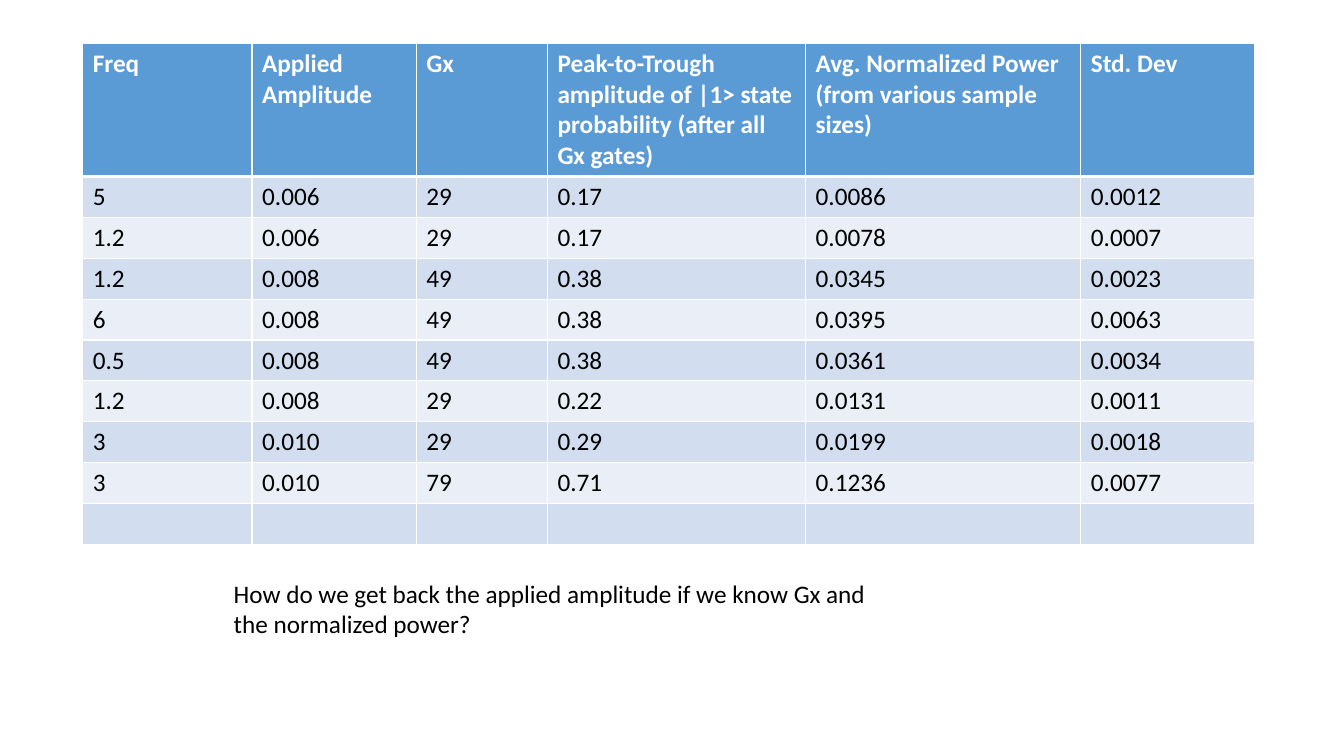
from lxml import etree
from pptx import Presentation
from pptx.dml.color import RGBColor
from pptx.enum.text import MSO_AUTO_SIZE
from pptx.oxml.ns import qn
from pptx.util import Inches, Pt

HEADERS = [
    "Freq",
    "Applied Amplitude",
    "Gx",
    "Peak-to-Trough amplitude of |1> state probability (after all Gx gates)",
    "Avg. Normalized Power (from various sample sizes)",
    "Std. Dev",
]
MEASUREMENTS = [
    ("5", "0.006", "29", "0.17", "0.0086", "0.0012"),
    ("1.2", "0.006", "29", "0.17", "0.0078", "0.0007"),
    ("1.2", "0.008", "49", "0.38", "0.0345", "0.0023"),
    ("6", "0.008", "49", "0.38", "0.0395", "0.0063"),
    ("0.5", "0.008", "49", "0.38", "0.0361", "0.0034"),
    ("1.2", "0.008", "29", "0.22", "0.0131", "0.0011"),
    ("3", "0.010", "29", "0.29", "0.0199", "0.0018"),
    ("3", "0.010", "79", "0.71", "0.1236", "0.0077"),
    ("",) * len(HEADERS),
]
QUESTION = "How do we get back the applied amplitude if we know Gx and the normalized power?"

COLORS = {
    "header": "5B9BD5",
    "odd": "D2DEEF",
    "even": "EAEFF7",
    "white": "FFFFFF",
    "text": "000000",
}
FONT = "Calibri"
FONT_SIZE = Pt(18)
COLUMN_WIDTHS = [1.68, 1.63, 1.3, 2.56, 2.73, 1.72]
HEADER_HEIGHT = 1.3
ROW_HEIGHT = 0.405
FIT_SHAPE = MSO_AUTO_SIZE.SHAPE_TO_FIT_TEXT


def add_run(p, text, color, bold=False):
    r = p.add_run()
    r.text = text
    r.font.name = FONT
    r.font.size = FONT_SIZE
    r.font.bold = bold
    r.font.color.rgb = RGBColor.from_string(COLORS[color])


def set_borders(cell, widths):
    tc_pr = cell._tc.get_or_add_tcPr()
    for side, width in widths.items():
        ln = etree.SubElement(tc_pr, qn(f"a:ln{side}"), w=str(Pt(width)))
        fill = etree.SubElement(ln, qn("a:solidFill"))
        etree.SubElement(fill, qn("a:srgbClr"), val=COLORS["white"])


def fill_cell(cell, text, row):
    header = row == 0
    set_borders(cell, {"L": 1, "R": 1, "T": 3 if row == 1 else 1, "B": 3 if header else 1})
    band = "header" if header else "odd" if row % 2 else "even"
    cell.fill.solid()
    cell.fill.fore_color.rgb = RGBColor.from_string(COLORS[band])
    p = cell.text_frame.paragraphs[0]
    if text:
        add_run(p, text, "white" if header else "text", header)
    else:
        p.font.size = FONT_SIZE


def add_results_table(s):
    rows = [HEADERS] + MEASUREMENTS
    heights = [HEADER_HEIGHT] + [ROW_HEIGHT] * len(MEASUREMENTS)
    table = s.shapes.add_table(
        len(rows), len(HEADERS), Inches(0.82), Inches(0.43),
        Inches(sum(COLUMN_WIDTHS)), Inches(sum(heights)),
    ).table
    for column, width in zip(table.columns, COLUMN_WIDTHS):
        column.width = Inches(width)
    for i, (values, height) in enumerate(zip(rows, heights)):
        table.rows[i].height = Inches(height)
        for j, text in enumerate(values):
            fill_cell(table.cell(i, j), text, i)


def add_question(s):
    sp = s.shapes.add_textbox(Inches(2.22), Inches(5.69), Inches(6.63), Inches(0.71))
    tf = sp.text_frame
    tf.word_wrap = True
    tf.auto_size = FIT_SHAPE
    add_run(tf.paragraphs[0], QUESTION, "text")


def main():
    prs = Presentation()
    prs.slide_width = Inches(13.33)
    prs.slide_height = Inches(7.5)
    s = prs.slides.add_slide(prs.slide_layouts[6])
    add_results_table(s)
    add_question(s)
    prs.save("out.pptx")


if __name__ == "__main__":
    main()
